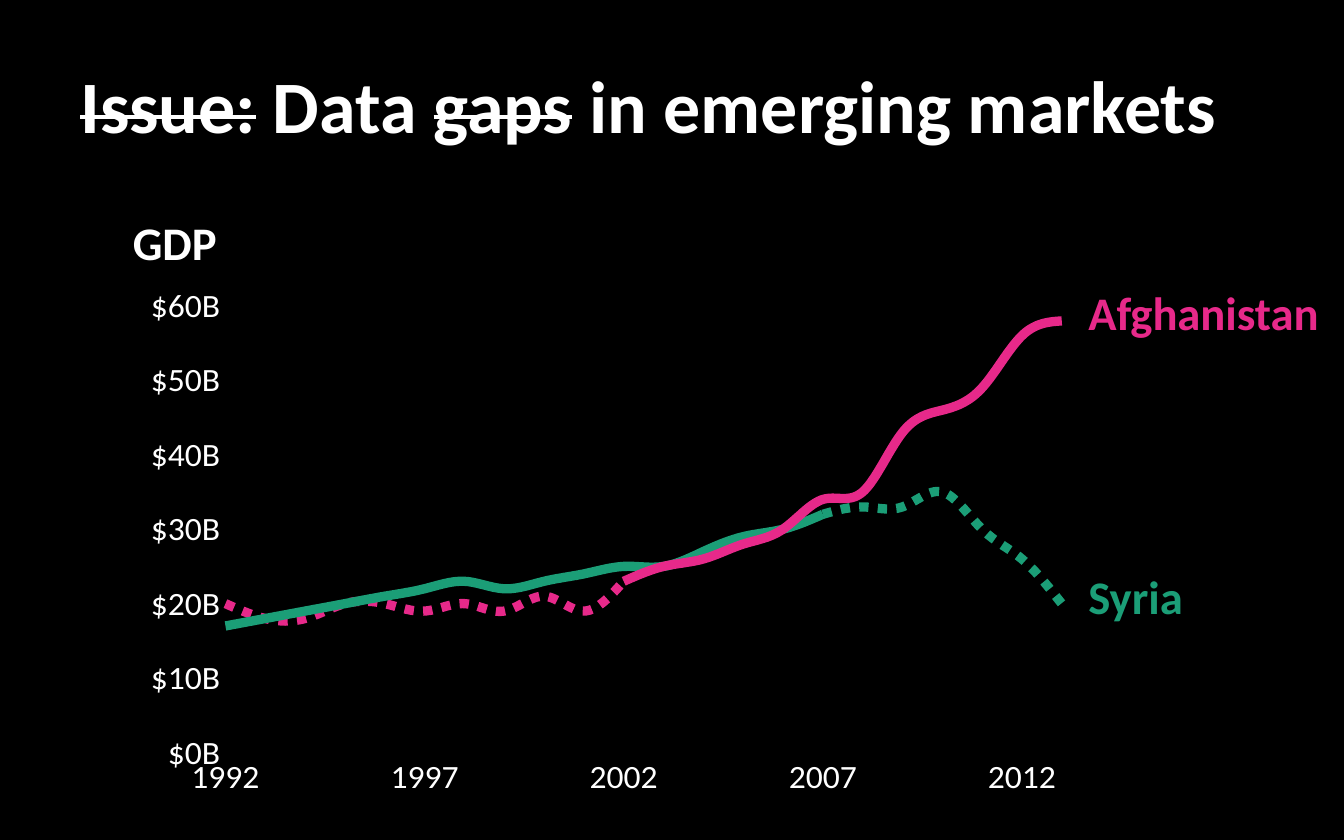
from lxml import etree
from pptx import Presentation
from pptx.chart.data import XyChartData
from pptx.dml.color import RGBColor
from pptx.enum.chart import XL_CHART_TYPE, XL_MARKER_STYLE, XL_TICK_MARK
from pptx.enum.dml import MSO_LINE
from pptx.enum.text import MSO_ANCHOR, PP_ALIGN
from pptx.oxml.ns import qn
from pptx.util import Inches, Pt

SMOOTH_SCATTER = XL_CHART_TYPE.XY_SCATTER_SMOOTH_NO_MARKERS
NO_MARKER = XL_MARKER_STYLE.NONE
NO_TICK = XL_TICK_MARK.NONE
DOTTED = MSO_LINE.ROUND_DOT
MIDDLE = MSO_ANCHOR.MIDDLE
LEFT = PP_ALIGN.LEFT
CENTER = PP_ALIGN.CENTER

BLACK = RGBColor(0x00, 0x00, 0x00)
WHITE = RGBColor(0xFF, 0xFF, 0xFF)
PINK = RGBColor(0xE7, 0x29, 0x8A)
GREEN = RGBColor(0x1B, 0x9E, 0x77)
FONT = "Calibri"
BILLION = 10**9
YEARS = range(1990, 2014)

TITLE_RUNS = [("Issue:", True), (" Data ", False), ("gaps", True),
              (" in emerging markets", False)]
LABELS = [
    ("GDP", (0.78, 1.54, 1.04, 0.52), WHITE, CENTER),
    ("Afghanistan", (8, 2.06, 2, 0.52), PINK, LEFT),
    ("Syria", (8, 4.17, 2, 0.52), GREEN, LEFT),
]
GDP_SERIES = [
    (2002, [23, 25, 26, 28, 30, 34, 35, 43, 46, 49, 56, 58], PINK, None),
    (1992, [17, 18, 19, 20, 21, 22, 23, 22, 23, 24, 25, 25, 27, 29, 30, 32],
     GREEN, None),
    (1992, [20, 18, 18, 20, 20, 19, 20, 19, 21, 19, 23], PINK, DOTTED),
    (2007, [32, 33, 33, 35, 30, 26, 20], GREEN, DOTTED),
]


def write_text(paragraph, text, *, size, color=WHITE, bold=True, strike=False):
    run = paragraph.add_run()
    run.text = text
    run.font.name = FONT
    run.font.size = Pt(size)
    run.font.bold = bold
    run.font.color.rgb = color
    if strike:
        run.font._element.set("strike", "sngStrike")


class SlideBuilder:
    """Hold the slide style and add each kind of element."""

    def __init__(self, slide):
        self.slide = slide
        slide.background.fill.solid()
        slide.background.fill.fore_color.rgb = BLACK

    def text_box(self, runs, box, *, size, color=WHITE, align=LEFT):
        shape = self.slide.shapes.add_textbox(*map(Inches, box))
        frame = shape.text_frame
        frame.word_wrap = True
        frame.vertical_anchor = MIDDLE
        paragraph = frame.paragraphs[0]
        paragraph.alignment = align
        for text, strike in runs:
            write_text(paragraph, text, size=size, color=color, strike=strike)

    def scatter_chart(self, series_list, box, plot_area):
        data = XyChartData()
        for number, (first_year, values, _, _) in enumerate(series_list, 1):
            series = data.add_series(f"Series {number}")
            known = dict(enumerate(values, first_year))
            for year in YEARS:
                value = known[year] * BILLION if year in known else None
                series.add_data_point(year, value)
        chart = self.slide.shapes.add_chart(
            SMOOTH_SCATTER, *map(Inches, box), data).chart
        chart.has_legend = False
        chart.has_title = False
        chart.font.name = FONT
        chart.font.size = Pt(18)
        chart.font.color.rgb = WHITE
        for series, (_, _, color, dash) in zip(chart.plots[0].series, series_list):
            self.series_line(series, color, dash)
        chart.plots[0].vary_by_categories = False
        self.axis(chart.category_axis, 1992, 2013, 5, "0")
        self.axis(chart.value_axis, 0, 60 * BILLION, 10 * BILLION,
                  '"$"#,##0,,,"B"')
        self.plot_layout(chart, plot_area)

    def series_line(self, series, color, dash):
        series.marker.style = NO_MARKER
        series.format.line.width = Pt(5)
        series.format.line.color.rgb = color
        if dash:
            series.format.line.dash_style = dash
        element = series._element
        for smooth in element.findall(qn("c:smooth")):
            element.remove(smooth)
        etree.SubElement(element, qn("c:smooth")).set("val", "1")
        for point in list(element.iter(qn("c:pt"))):
            if point.findtext(qn("c:v")) in ("None", ""):
                point.getparent().remove(point)

    def axis(self, axis, minimum, maximum, step, number_format):
        axis.minimum_scale = minimum
        axis.maximum_scale = maximum
        axis.major_unit = step
        axis.has_major_gridlines = False
        axis.has_title = False
        axis.major_tick_mark = NO_TICK
        axis.minor_tick_mark = NO_TICK
        axis.format.line.fill.background()
        axis.tick_labels.number_format = number_format
        axis.tick_labels.number_format_is_linked = False

    def plot_layout(self, chart, plot_area):
        area = chart.element.find(".//" + qn("c:plotArea"))
        for layout in area.findall(qn("c:layout")):
            area.remove(layout)
        layout = etree.Element(qn("c:layout"))
        area.insert(0, layout)
        manual = etree.SubElement(layout, qn("c:manualLayout"))
        settings = [("layoutTarget", "inner"), ("xMode", "edge"), ("yMode", "edge")]
        settings += zip("xywh", plot_area)
        for name, value in settings:
            etree.SubElement(manual, qn(f"c:{name}")).set("val", str(value))


def main():
    presentation = Presentation()
    presentation.slide_width = Inches(10)
    presentation.slide_height = Inches(6.25)
    builder = SlideBuilder(
        presentation.slides.add_slide(presentation.slide_layouts[6]))
    builder.text_box(TITLE_RUNS, (0.5, 0.25, 9, 1.04), size=39.6)
    builder.scatter_chart(GDP_SERIES, (0.78, 2.08, 7.74, 3.85),
                          (0.116, 0.053, 0.804, 0.893))
    for text, box, color, align in LABELS:
        builder.text_box([(text, False)], box, size=25, color=color, align=align)
    presentation.save("out.pptx")


if __name__ == "__main__":
    main()
